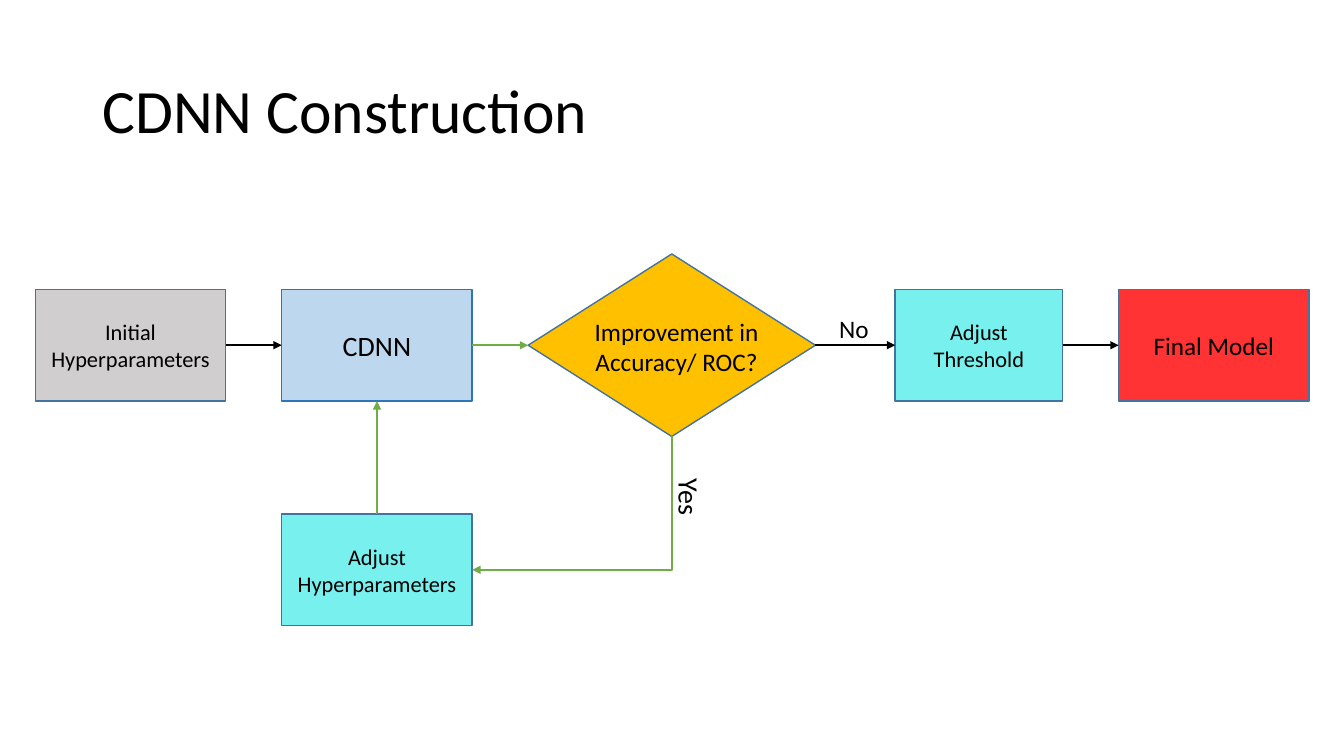
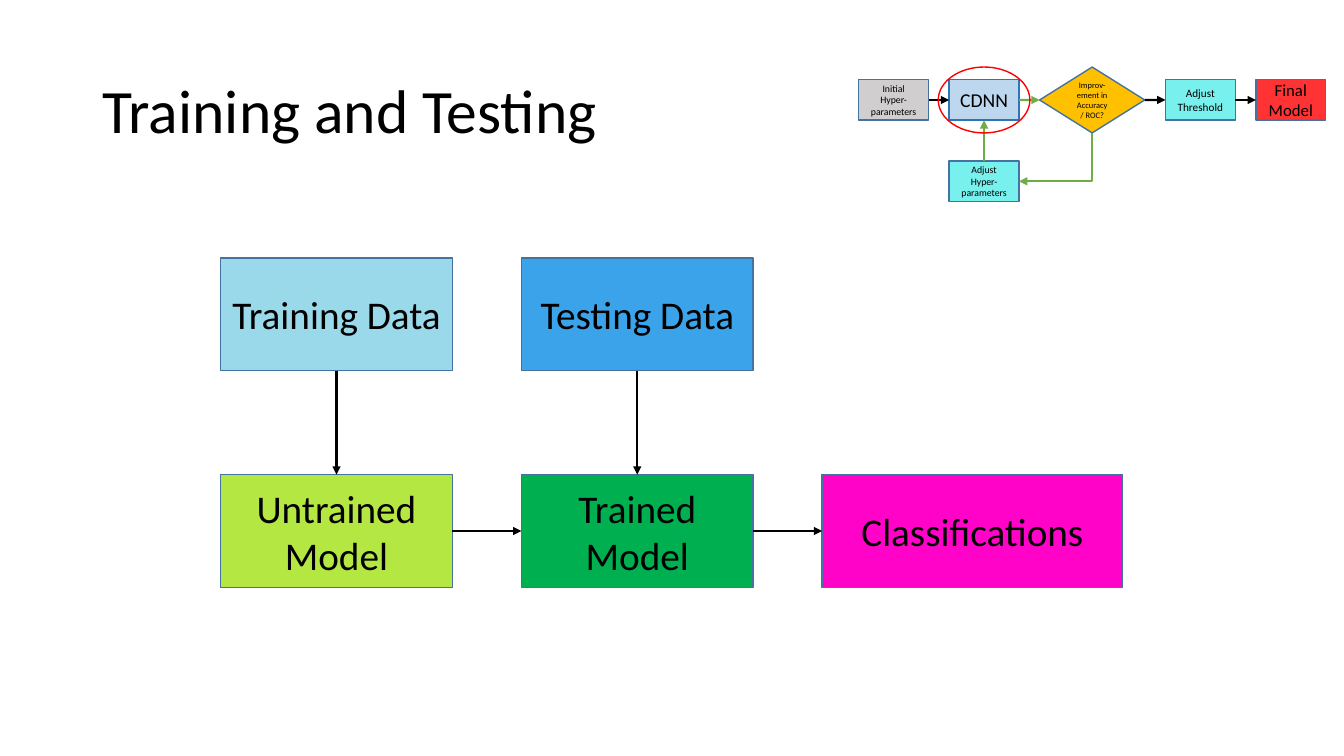
import dataclasses
import lxml.etree
import pptx
import pptx.dml.color
import pptx.enum.shapes
import pptx.enum.text
import pptx.oxml.ns
import pptx.util

Cm = pptx.util.Cm
Pt = pptx.util.Pt
qn = pptx.oxml.ns.qn
Preset = pptx.enum.shapes.MSO_SHAPE
Line = pptx.enum.shapes.MSO_CONNECTOR
Align = pptx.enum.text.PP_ALIGN
Anchor = pptx.enum.text.MSO_ANCHOR


@dataclasses.dataclass(frozen=True)
class Theme:
    font: str = "Calibri"
    ink: str = "000000"
    outline: str = "43739E"
    cdnn_outline: str = "2E75B6"
    loop: str = "70AD47"
    highlight: str = "FF0000"
    initial: str = "D0CECE"
    cdnn: str = "BDD7EE"
    decision: str = "FFC000"
    adjust: str = "1FE7E1"
    final: str = "FF0000"
    training: str = "99D9EA"
    testing: str = "3BA3E9"
    untrained: str = "B5E743"
    trained: str = "00B050"
    classes: str = "FF04C8"
    title_size: float = 44
    stage_size: float = 28
    label_size: float = 18
    yes_size: float = 20
    border: float = 1
    arrow: float = 1.5


THEME = Theme()
TOP, LEFT, BOTTOM, RIGHT = range(4)

CONSTRUCTION_TITLE = "CDNN Construction"
TESTING_TITLE = "Training and Testing"

FLOW_STYLE = {
    "initial": dict(fill=THEME.initial),
    "cdnn": dict(fill=THEME.cdnn, border=THEME.cdnn_outline),
    "decision": dict(fill=THEME.decision, preset=Preset.FLOWCHART_DECISION),
    "threshold": dict(fill=THEME.adjust, opacity=60),
    "final": dict(fill=THEME.final, opacity=80),
    "adjust": dict(fill=THEME.adjust, opacity=60),
}
FLOW_ARROWS = [
    ("decision", BOTTOM, "adjust", RIGHT, THEME.loop),
    ("initial", RIGHT, "cdnn", LEFT, THEME.ink),
    ("cdnn", RIGHT, "decision", LEFT, THEME.loop),
    ("decision", RIGHT, "threshold", LEFT, THEME.ink),
    ("threshold", RIGHT, "final", LEFT, THEME.ink),
    ("adjust", TOP, "cdnn", BOTTOM, THEME.loop),
]
FULL_FLOW = dict(
    labels={
        "initial": ("Initial Hyperparameters", 16),
        "cdnn": ("CDNN", 20),
        "decision": ("", 18),
        "threshold": ("Adjust Threshold", 16),
        "final": ("Final Model", 18),
        "adjust": ("Adjust Hyperparameters", 16),
    },
    left=0.89, middle=8.7, box=(4.8, 2.82), diamond=(7.24, 4.6),
    gap=1.41, no_gap=2.01, threshold_width=4.22, drop=5.66,
)
SMALL_FLOW = dict(
    labels={
        "initial": ("Initial Hyper-parameters", 7),
        "cdnn": ("CDNN", 14),
        "decision": ("Improv-ement in Accuracy/ ROC?", 6),
        "threshold": ("Adjust Threshold", 8),
        "final": ("Final Model", 12),
        "adjust": ("Adjust Hyper-parameters", 7),
    },
    left=21.64, middle=2.52, box=(1.76, 1.02), diamond=(2.65, 1.66),
    gap=0.52, no_gap=0.52, threshold_width=1.76, drop=2.05,
)
BRANCH_LABELS = [
    ("Improvement in Accuracy/ ROC?", (14.6, 7.85, 4.9, 2.57),
     dict(size=THEME.label_size, align=Align.CENTER), 0),
    ("No", (20.9, 7.77, 1.42, 1.02), dict(size=THEME.label_size), 0),
    ("Yes", (16.36, 12.27, 2.03, 1.12), dict(size=THEME.yes_size), 90),
]
STAGES = {
    "Untrained Model": (0, 1, 5.84, THEME.untrained),
    "Trained Model": (1, 1, 5.84, THEME.trained),
    "Classifications": (2, 1, 7.57, THEME.classes),
    "Testing Data": (1, 0, 5.84, THEME.testing),
    "Training Data": (0, 0, 5.84, THEME.training),
}
STAGE_ARROWS = [
    ("Untrained Model", RIGHT, "Trained Model", LEFT),
    ("Trained Model", RIGHT, "Classifications", LEFT),
    ("Training Data", BOTTOM, "Untrained Model", TOP),
    ("Testing Data", BOTTOM, "Trained Model", TOP),
]


def rgb(value):
    return pptx.dml.color.RGBColor.from_string(value)


def write(frame, text, size, align=Align.LEFT, anchor=Anchor.TOP, spacing=None):
    frame.word_wrap = True
    frame.auto_size = pptx.enum.text.MSO_AUTO_SIZE.NONE
    frame.vertical_anchor = anchor
    paragraph = frame.paragraphs[0]
    paragraph.alignment = align
    paragraph.line_spacing = spacing
    run = paragraph.add_run()
    run.text = text
    run.font.name = THEME.font
    run.font.size = Pt(size)
    run.font.color.rgb = rgb(THEME.ink)


def add_block(shapes, place, fill=None, border=THEME.outline, opacity=100,
              preset=Preset.RECTANGLE):
    block = shapes.add_shape(preset, *map(Cm, place))
    block.shadow.inherit = False
    block.line.color.rgb = rgb(border)
    block.line.width = Pt(THEME.border)
    if fill is None:
        block.fill.background()
        return block
    block.fill.solid()
    block.fill.fore_color.rgb = rgb(fill)
    if opacity < 100:
        tint = block.element.spPr.find(qn("a:solidFill")).find(qn("a:srgbClr"))
        lxml.etree.SubElement(tint, qn("a:alpha")).set("val", str(opacity * 1000))
    return block


def add_label_block(shapes, text, size, place, **style):
    block = add_block(shapes, place, **style)
    if text:
        write(block.text_frame, text, size, align=Align.CENTER, anchor=Anchor.MIDDLE)
    return block


def side_point(block, side):
    across = {LEFT: 0, RIGHT: block.width}.get(side, block.width // 2)
    down = {TOP: 0, BOTTOM: block.height}.get(side, block.height // 2)
    return block.left + across, block.top + down


def add_arrow(shapes, source, source_side, target, target_side, color=THEME.ink):
    turns = source_side == BOTTOM and target_side == RIGHT
    start, end = side_point(source, source_side), side_point(target, target_side)
    arrow = shapes.add_connector(Line.ELBOW if turns else Line.STRAIGHT, *start, *end)
    arrow.begin_connect(source, source_side)
    arrow.end_connect(target, target_side)
    properties = arrow.element.spPr
    if turns:
        run, fall = start[0] - end[0], end[1] - start[1]
        properties.find(qn("a:prstGeom")).set("prst", "bentConnector2")
        frame = properties.find(qn("a:xfrm"))
        frame.attrib.pop("flipH", None)
        frame.set("rot", "5400000")
        arrow.left = end[0] + (run - fall) // 2
        arrow.top = start[1] + (fall - run) // 2
        arrow.width, arrow.height = fall, run
    arrow.line.color.rgb = rgb(color)
    arrow.line.width = Pt(THEME.arrow)
    stroke = properties.find(qn("a:ln"))
    lxml.etree.SubElement(stroke, qn("a:tailEnd")).set("type", "triangle")
    lxml.etree.SubElement(properties, qn("a:effectLst"))


def add_flow(slide, labels, left, middle, box, diamond, gap, no_gap,
             threshold_width, drop):
    shapes = slide.shapes.add_group_shape().shapes
    sizes = {"decision": diamond, "threshold": (threshold_width, box[1])}
    places = {}
    for step in ("initial", "cdnn", "decision", "threshold", "final"):
        width, height = sizes.get(step, box)
        places[step] = (left, middle - height / 2, width, height)
        left += width + (no_gap if step == "decision" else gap)
    cdnn_left, cdnn_top, width, height = places["cdnn"]
    places["adjust"] = (cdnn_left, cdnn_top + drop, width, height)
    steps = {
        step: add_label_block(shapes, *labels[step], place, **FLOW_STYLE[step])
        for step, place in places.items()
    }
    for source, source_side, target, target_side, color in FLOW_ARROWS:
        add_arrow(shapes, steps[source], source_side, steps[target], target_side, color)
    return places


def add_stages(slide, left=5.56, top=6.5, width=5.84, height=2.84, gap=1.74, drop=5.46):
    shapes = slide.shapes.add_group_shape().shapes
    stages = {}
    for text, (column, row, stage_width, fill) in STAGES.items():
        place = (left + column * (width + gap), top + row * drop, stage_width, height)
        stages[text] = add_label_block(shapes, text, THEME.stage_size, place, fill=fill)
    for source, source_side, target, target_side in STAGE_ARROWS:
        add_arrow(shapes, stages[source], source_side, stages[target], target_side)


def add_titled_slide(deck, layout, title):
    slide = deck.slides.add_slide(layout)
    write(slide.shapes.title.text_frame, title, THEME.title_size,
          anchor=Anchor.MIDDLE, spacing=0.9)
    return slide


deck = pptx.Presentation()
deck.slide_width, deck.slide_height = Cm(33.87), Cm(19.05)
layout = deck.slide_layouts[5]
heading = layout.placeholders[0]
heading.left, heading.top, heading.width, heading.height = map(Cm, (2.33, 1.01, 29.21, 3.68))

construction = add_titled_slide(deck, layout, CONSTRUCTION_TITLE)
add_flow(construction, **FULL_FLOW)
for text, place, style, turn in BRANCH_LABELS:
    label = construction.shapes.add_textbox(*map(Cm, place))
    label.rotation = turn
    write(label.text_frame, text, **style)

testing = add_titled_slide(deck, layout, TESTING_TITLE)
add_stages(testing)
cdnn_left, cdnn_top, cdnn_width, cdnn_height = add_flow(testing, **SMALL_FLOW)["cdnn"]
ring_width, ring_height = 2.31, 1.66
ring_place = (cdnn_left + (cdnn_width - ring_width) / 2,
              cdnn_top + (cdnn_height - ring_height) / 2, ring_width, ring_height)
add_block(testing.shapes, ring_place, border=THEME.highlight, preset=Preset.OVAL)

deck.save("out.pptx")
